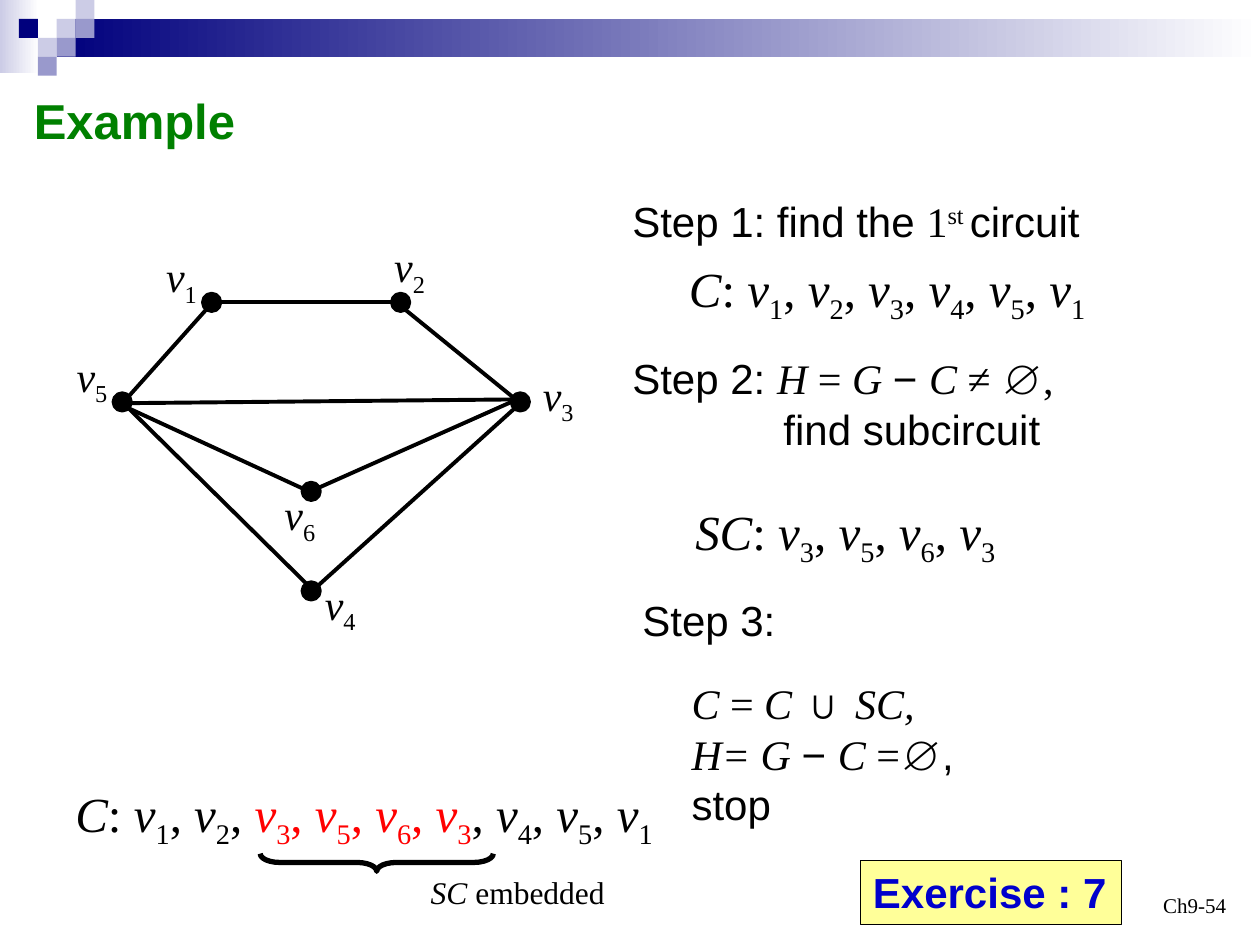
from dataclasses import dataclass

from pptx import Presentation
from pptx import util as u
from pptx.dml.color import RGBColor
from pptx.enum import shapes, text
from pptx.oxml.ns import qn


@dataclass(frozen=True)
class Theme:
    sans: str = "Arial"
    serif: str = "Times New Roman"
    black: str = "000000"
    white: str = "FFFFFF"
    navy: str = "00007D"
    violet: str = "9999CC"
    pale: str = "CCCCE6"
    green: str = "008000"
    red: str = "FF0000"
    blue: str = "0000CC"
    yellow: str = "FFFF99"
    large: int = 28
    body: int = 24
    caption: int = 18
    small: int = 12


THEME = Theme()
STYLES = {
    "sans": {"name": THEME.sans},
    "bold": {"name": THEME.sans, "bold": True},
    "serif": {"name": THEME.serif},
    "math": {"name": THEME.serif, "italic": True},
    "sub": {"name": THEME.serif},
    "sup": {"name": THEME.serif},
}
BASELINES = {"sub": "-25000", "sup": "30000"}

# Graph: centre of each vertex, then the corner of its label
VERTICES = {
    1: ((1.68, 2.4), (1.22, 1.94)),
    2: ((3.18, 2.4), (3.03, 1.86)),
    3: ((4.13, 3.19), (4.21, 2.88)),
    4: ((2.47, 4.69), (2.48, 4.54)),
    5: ((0.97, 3.19), (0.51, 2.73)),
    6: ((2.47, 3.9), (2.16, 3.83)),
}
DOT = 0.14
EDGES = [
    ((1.75, 2.4), (3.11, 2.4)),
    ((3.17, 2.42), (4.13, 3.2)),
    ((4.13, 3.2), (2.5, 4.67)),
    ((2.47, 4.67), (0.98, 3.2)),
    ((1.67, 2.42), (1, 3.17)),
    ((0.98, 3.2), (4.11, 3.17)),
    ((1.02, 3.24), (2.43, 3.89)),
    ((2.42, 3.92), (4.06, 3.19)),
]


def inches(*values):
    return [u.Inches(value) for value in values]


def rgb(color):
    return RGBColor.from_string(color)


def add_shape(page, kind, at, fill=None, line=None, width=1):
    """Add a preset shape; a pair of colours gives a horizontal gradient."""
    shape = page.shapes.add_shape(kind, *inches(*at))
    shape.shadow.inherit = False
    if fill is None:
        shape.fill.background()
    elif isinstance(fill, tuple):
        shape.fill.gradient()
        shape.fill.gradient_angle = 0
        for stop, color, position in zip(shape.fill.gradient_stops, fill, (0, 1)):
            stop.color.rgb = rgb(color)
            stop.position = position
    else:
        shape.fill.solid()
        shape.fill.fore_color.rgb = rgb(fill)
    if line:
        shape.line.color.rgb = rgb(line)
        shape.line.width = u.Pt(width)
    else:
        shape.line.fill.background()
    return shape


def write(box, lines, size, color=THEME.black, wrap=False, indents=(),
          align=text.PP_ALIGN.LEFT, anchor=text.MSO_ANCHOR.TOP):
    """Fill a box with lines of (words, style[, colour]) spans."""
    frame = box.text_frame
    settings = {"word_wrap": wrap, "auto_size": text.MSO_AUTO_SIZE.NONE,
                "vertical_anchor": anchor}
    for name, value in settings.items():
        setattr(frame, name, value)
    for index, spans in enumerate(lines):
        para = frame.add_paragraph() if index else frame.paragraphs[0]
        para.alignment = align
        if index < len(indents) and indents[index]:
            para._p.get_or_add_pPr().set("marL", str(u.Inches(indents[index])))
        for words, style, *own_color in spans:
            span = para.add_run()
            span.text = words
            for name, value in {"size": u.Pt(size), **STYLES[style]}.items():
                setattr(span.font, name, value)
            span.font.color.rgb = rgb(own_color[0] if own_color else color)
            if style in BASELINES:
                span._r.get_or_add_rPr().set("baseline", BASELINES[style])


def add_text(page, at, lines, size=THEME.body, **options):
    write(page.shapes.add_textbox(*inches(*at)), lines, size, **options)


def add_edge(page, start, end):
    edge = page.shapes.add_connector(
        shapes.MSO_CONNECTOR.STRAIGHT, *inches(*start, *end))
    edge.line.color.rgb = rgb(THEME.black)
    edge.line.width = u.Pt(2.25)
    properties = edge._element.spPr
    properties.append(properties.makeelement(qn("a:effectLst"), {}))


def walk(numbers, color=THEME.black):
    """Spans for a comma-separated run of vertices."""
    spans = []
    for number in numbers:
        if spans:
            spans.append((", ", "serif", color))
        spans += [("v", "math", color), (str(number), "sub", color)]
    return spans


def circuit(name, *parts):
    spans = [(name, "math"), (": ", "serif")]
    for index, part in enumerate(parts):
        spans += ([(", ", "serif")] if index else []) + part
    return [spans]


def add_banner(page):
    rect = shapes.MSO_SHAPE.RECTANGLE
    add_shape(page, rect, (0, 0, 0.31, 0.58), (THEME.pale, THEME.white))
    add_shape(page, rect, (0.45, 0.15, 9.55, 0.3), (THEME.navy, THEME.white))
    side = 0.15
    tiles = [(3, 1, THEME.pale), (4, 0, THEME.pale), (4, 1, THEME.violet),
             (2, 2, THEME.pale), (1, 1, THEME.navy), (3, 2, THEME.violet),
             (2, 3, THEME.violet)]
    for column, row, color in tiles:
        add_shape(page, rect, (column * side, row * side, side, side), color)


def add_graph(page):
    for number, ((x, y), label) in VERTICES.items():
        add_shape(page, shapes.MSO_SHAPE.OVAL,
                  (x - DOT / 2, y - DOT / 2, DOT, DOT),
                  THEME.black, THEME.black, 2)
        add_text(page, (*label, 0.46, 0.5), [walk([number])])
    for start, end in EDGES:
        add_edge(page, start, end)


def add_steps(page):
    add_text(page, (4.92, 1.5, 3.89, 0.5), [[
        ("Step 1: find the ", "sans"), ("1", "serif"), ("st ", "sup"),
        ("circuit", "sans")]])
    add_text(page, (5.37, 2, 3.47, 0.57),
             circuit("C", walk([1, 2, 3, 4, 5, 1])), THEME.large)
    add_text(page, (4.92, 2.75, 3.83, 0.9), [
        [("Step 2: ", "sans"), ("H ", "math"), ("= ", "serif"), ("G ", "math"),
         ("− ", "sans"), ("C ", "math"), ("≠ ∅,", "serif")],
        [("find subcircuit", "sans")]], wrap=True, indents=(0, 1.2))
    add_text(page, (5.42, 3.93, 2.66, 0.57),
             circuit("SC", walk([3, 5, 6, 3])), THEME.large)
    add_text(page, (5, 4.67, 1.35, 0.5), [[("Step 3:", "sans")]])
    add_text(page, (5.39, 5.33, 2.92, 0.9), [
        [("C ", "math"), ("= ", "serif"), ("C ", "math"), ("∪ ", "serif"),
         ("SC,", "math")],
        [("H= G ", "math"), ("− ", "sans"), ("C", "math"), (" =∅", "serif"),
         (",", "sans")],
        [("stop", "sans")]], wrap=True)


def add_result(page):
    add_text(page, (0.5, 6.17, 4.96, 0.57),
             circuit("C", walk([1, 2]), walk([3, 5, 6, 3], THEME.red),
                     walk([4, 5, 1])), THEME.large)
    brace = add_shape(page, shapes.MSO_SHAPE.LEFT_BRACE,
                      (2.92, 5.92, 0.14, 1.85), line=THEME.black, width=3)
    brace.rotation = 270
    brace.adjustments[0] = 1.11
    add_text(page, (3.32, 6.88, 1.6, 0.4),
             [[("SC ", "math"), ("embedded", "serif")]], THEME.caption)


def main():
    deck = Presentation()
    deck.slide_width, deck.slide_height = inches(10, 7.5)
    page = deck.slides.add_slide(deck.slide_layouts[6])

    add_banner(page)
    add_text(page, (0.17, 0.67, 9.57, 0.57), [[("Example", "bold")]],
             THEME.large, color=THEME.green, wrap=True)
    add_graph(page)
    add_steps(page)
    add_result(page)

    # Exercise tag and page number
    tag = add_shape(page, shapes.MSO_SHAPE.RECTANGLE, (6.83, 6.83, 2.07, 0.51),
                    THEME.yellow, THEME.black, 0.75)
    write(tag, [[("Exercise : 7", "bold")]], THEME.body, THEME.blue)
    add_text(page, (7.5, 6.83, 2.33, 0.5), [[("Ch9-54", "serif")]], THEME.small,
             wrap=True, align=text.PP_ALIGN.RIGHT, anchor=text.MSO_ANCHOR.BOTTOM)

    deck.save("out.pptx")


if __name__ == "__main__":
    main()
